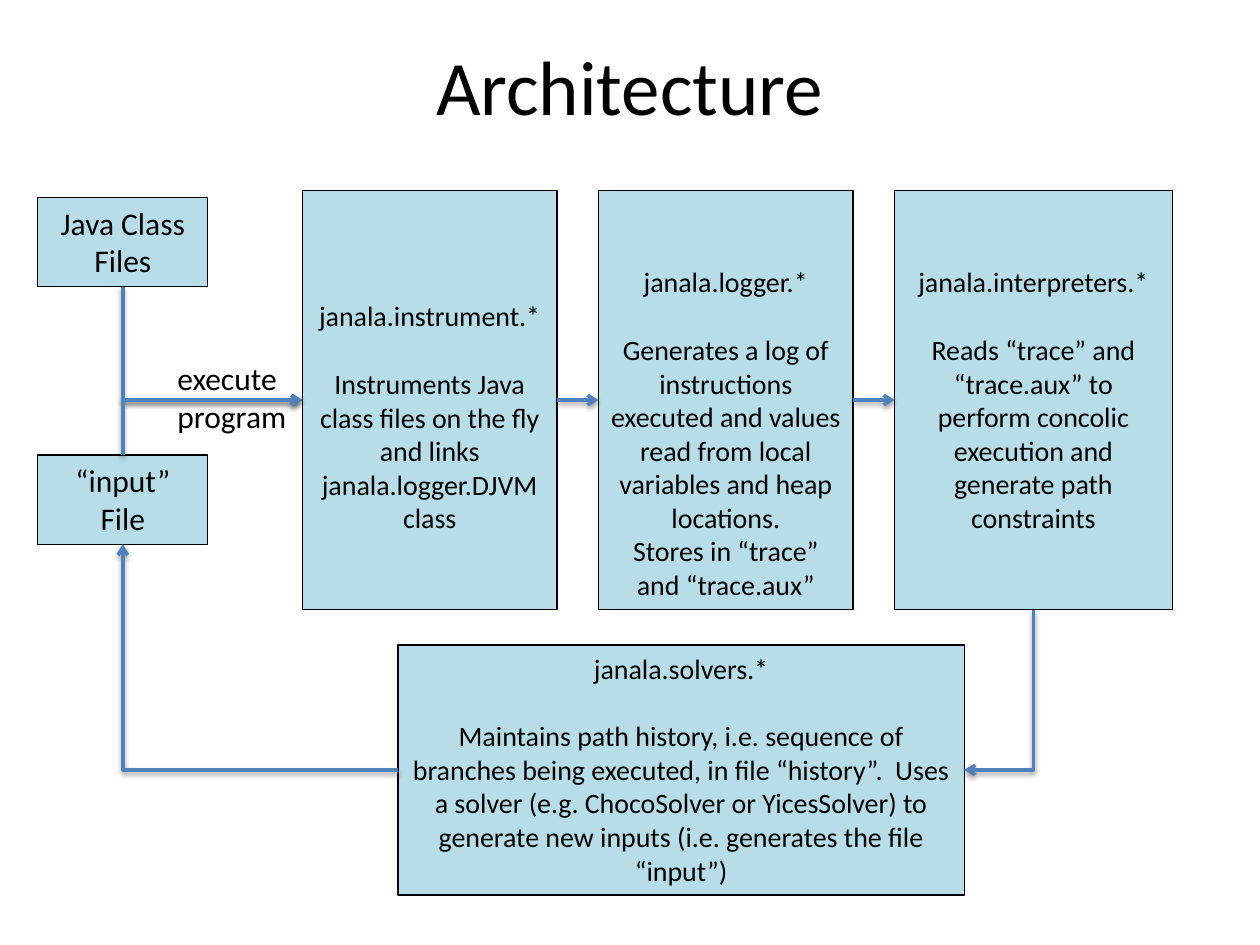
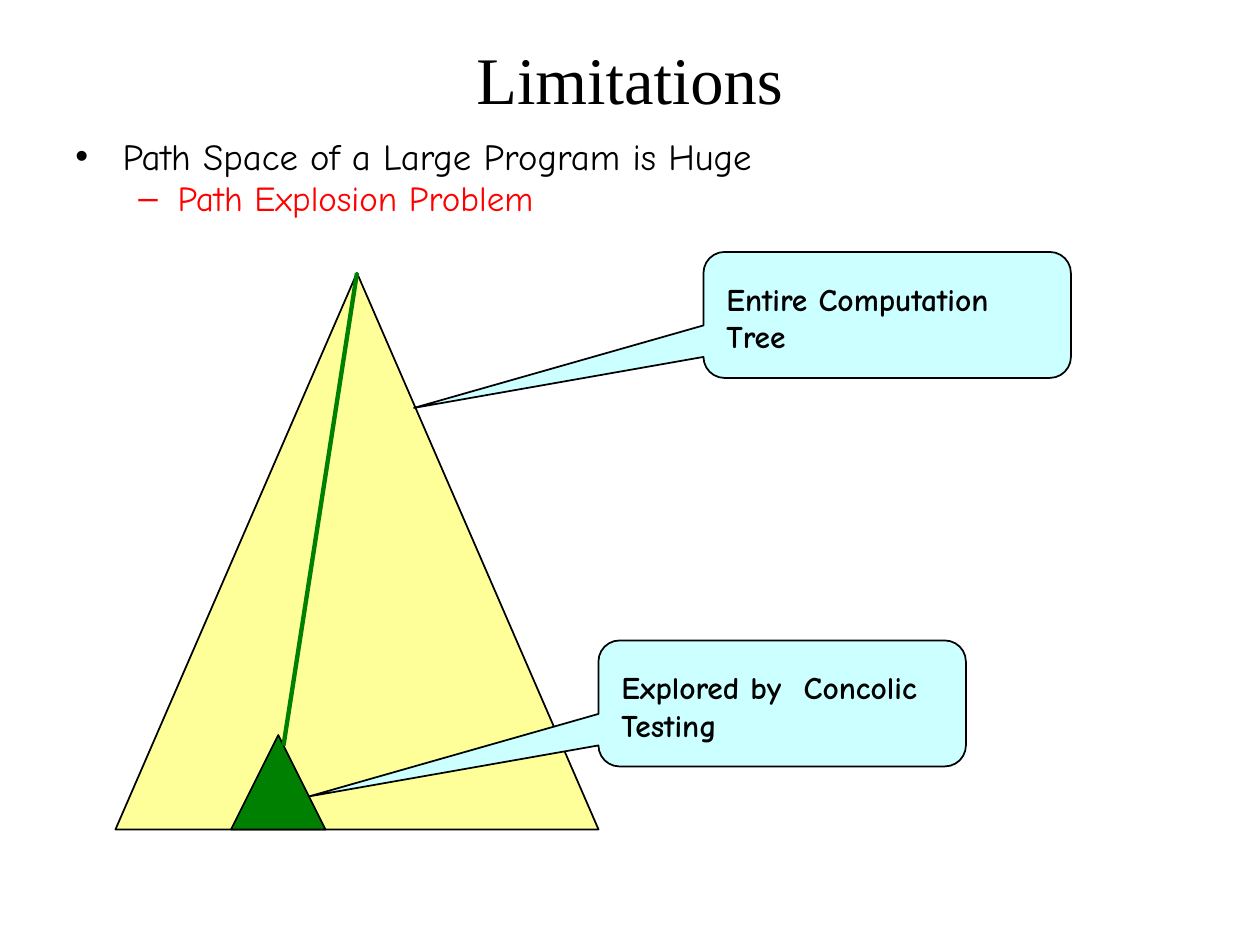
from dataclasses import dataclass

from lxml import etree
from pptx import Presentation
from pptx.dml.color import RGBColor
from pptx.enum.shapes import MSO_CONNECTOR, MSO_SHAPE
from pptx.enum.text import MSO_ANCHOR, PP_ALIGN
from pptx.oxml.ns import qn
from pptx.shapes.autoshape import Shape
from pptx.shapes.connector import Connector
from pptx.slide import Slide
from pptx.util import Pt

RECTANGLE = MSO_SHAPE.RECTANGLE
TRIANGLE = MSO_SHAPE.ISOSCELES_TRIANGLE
CALLOUT = MSO_SHAPE.ROUNDED_RECTANGULAR_CALLOUT
STRAIGHT, ELBOW = MSO_CONNECTOR.STRAIGHT, MSO_CONNECTOR.ELBOW
LEFT, CENTER = PP_ALIGN.LEFT, PP_ALIGN.CENTER
TOP, MIDDLE = MSO_ANCHOR.TOP, MSO_ANCHOR.MIDDLE
SITE_TOP, SITE_LEFT, SITE_BOTTOM, SITE_RIGHT = range(4)

SANS, HAND, SERIF = "Calibri", "Comic Neue", "Times New Roman"
BLACK, RED, GREEN = "000000", "FF0000", "008000"
BOX_BLUE, ARROW_BLUE = "B7DEE8", "4F81BD"
TREE_YELLOW, CALLOUT_CYAN = "FFFF99", "CCFFFF"
MODULE_LINE = 19.5
INSET = 3.6


@dataclass
class Frame:
    left: float
    top: float
    width: float
    height: float


@dataclass
class Style:
    font: str
    size: float
    align: PP_ALIGN = LEFT
    anchor: MSO_ANCHOR = TOP
    bold: bool = False
    wrap: bool = True


@dataclass
class Module:
    frame: Frame
    name: str
    details: list[str]
    lines_above: int = 0


@dataclass
class Bullet:
    text: str
    mark: str
    size: float
    color: str
    margin: float
    hanging: float


@dataclass
class Callout:
    left: float
    top: float
    text: str


@dataclass
class Flow:
    source: Shape
    source_site: int
    target: Shape
    target_site: int


FILE_STYLE = Style(SANS, 18, CENTER)
MODULE_STYLE = Style(SANS, 16, CENTER)
LABEL_STYLE = Style(SANS, 18, wrap=False)
CALLOUT_STYLE = Style(HAND, 18, bold=True)


def color_of(value: str) -> RGBColor:
    return RGBColor.from_string(value)


def place(frame: Frame) -> tuple[Pt, Pt, Pt, Pt]:
    return Pt(frame.left), Pt(frame.top), Pt(frame.width), Pt(frame.height)


def write(box: Shape, lines: list[str], style: Style) -> None:
    text_frame = box.text_frame
    text_frame.text = "\n".join(lines)
    text_frame.word_wrap = style.wrap
    text_frame.vertical_anchor = style.anchor
    for para in text_frame.paragraphs:
        para.alignment = style.align
        for span in para.runs:
            span.font.name = style.font
            span.font.size = Pt(style.size)
            span.font.bold = style.bold
            span.font.color.rgb = color_of(BLACK)


def add_text(page: Slide, frame: Frame, lines: list[str], style: Style) -> Shape:
    box = page.shapes.add_textbox(*place(frame))
    write(box, lines, style)
    return box


def add_title(page: Slide, text: str, top: float, font: str, size: float) -> None:
    add_text(page, Frame(36, top, 648, 90), [text], Style(font, size, CENTER, MIDDLE))


def add_figure(page: Slide, kind: MSO_SHAPE, frame: Frame, fill: str, line: float = 1) -> Shape:
    shape = page.shapes.add_shape(kind, *place(frame))
    shape.shadow.inherit = False
    shape.fill.solid()
    shape.fill.fore_color.rgb = color_of(fill)
    shape.line.color.rgb = color_of(BLACK)
    shape.line.width = Pt(line)
    return shape


def add_file(page: Slide, top: float, lines: list[str]) -> Shape:
    box = add_figure(page, RECTANGLE, Frame(21.6, top, 97.2, 51), BOX_BLUE, 0.75)
    write(box, lines, FILE_STYLE)
    return box


def add_module(page: Slide, module: Module) -> Shape:
    box = add_figure(page, RECTANGLE, module.frame, BOX_BLUE, 0.75)
    write(box, [module.name, *module.details], MODULE_STYLE)
    box.text_frame.margin_top = Pt(INSET + module.lines_above * MODULE_LINE)
    box.text_frame.paragraphs[1].space_before = Pt(MODULE_LINE)
    return box


def style_line(line: Connector, color: str, width: float) -> etree._Element:
    line.line.color.rgb = color_of(color)
    line.line.width = Pt(width)
    return etree.SubElement(line._element.spPr, qn("a:effectLst"))


def bend(arrow: Connector, vertical_first: bool) -> None:
    properties = arrow._element.spPr
    properties.find(qn("a:prstGeom")).set("prst", "bentConnector2")
    if not vertical_first:
        return
    start_x, start_y, end_x, end_y = arrow.begin_x, arrow.begin_y, arrow.end_x, arrow.end_y
    width, height = abs(end_y - start_y), abs(end_x - start_x)
    arrow.left = (start_x + end_x - width) // 2
    arrow.top = (start_y + end_y - height) // 2
    arrow.width, arrow.height = width, height
    down, right = end_y > start_y, end_x > start_x
    transform = properties.find(qn("a:xfrm"))
    transform.set("rot", str((90 if down else 270) * 60000))
    transform.set("flipH", "0")
    transform.set("flipV", "1" if down == right else "0")


def add_flow(page: Slide, flow: Flow) -> None:
    vertical_first = flow.source_site in (SITE_TOP, SITE_BOTTOM)
    straight = (flow.source_site, flow.target_site) == (SITE_RIGHT, SITE_LEFT)
    arrow = page.shapes.add_connector(STRAIGHT if straight else ELBOW, 0, 0, 0, 0)
    arrow.begin_connect(flow.source, flow.source_site)
    arrow.end_connect(flow.target, flow.target_site)
    if not straight:
        bend(arrow, vertical_first)
    effects = style_line(arrow, ARROW_BLUE, 2)
    shadow = etree.SubElement(effects, qn("a:outerShdw"), blurRad="40000", dist="20000",
                              dir="5400000", rotWithShape="0")
    shade = etree.SubElement(shadow, qn("a:srgbClr"), val=BLACK)
    etree.SubElement(shade, qn("a:alpha"), val="38000")
    etree.SubElement(arrow.line._get_or_add_ln(), qn("a:tailEnd"), type="arrow")


def add_bullets(page: Slide, frame: Frame, bullets: list[Bullet]) -> None:
    box = add_text(page, frame, [bullet.text for bullet in bullets], Style(HAND, 20))
    for level, (para, bullet) in enumerate(zip(box.text_frame.paragraphs, bullets)):
        para.level = level
        para.line_spacing = 0.8
        para.space_before = Pt(bullet.size * 0.2)
        para.runs[0].font.size = Pt(bullet.size)
        para.runs[0].font.color.rgb = color_of(bullet.color)
        properties = para._p.get_or_add_pPr()
        properties.set("marL", str(Pt(bullet.margin)))
        properties.set("indent", str(-Pt(bullet.hanging)))
        etree.SubElement(properties, qn("a:buFont"), typeface="Arial")
        etree.SubElement(properties, qn("a:buChar"), char=bullet.mark)


def add_callout(page: Slide, callout: Callout) -> None:
    bubble = add_figure(page, CALLOUT, Frame(callout.left, callout.top, 210, 72), CALLOUT_CYAN)
    for index, value in enumerate((-1.288, 0.738, 0.167)):
        bubble.adjustments[index] = value
    frame = Frame(callout.left + 6, callout.top + 12.25, 198, 50.4)
    add_text(page, frame, [callout.text], CALLOUT_STYLE)


def module_frame(column: int, width: float) -> Frame:
    return Frame(172.8 + 169.2 * column, 108.75, width, 239.75)


def build_architecture(page: Slide) -> None:
    add_title(page, "Architecture", 3.6, SANS, 44)
    input_file = add_file(page, 260, ["“input” File"])
    class_files = add_file(page, 112.75, ["Java Class", "Files"])
    instrument, logger, interpreters, solvers = [add_module(page, module) for module in (
        Module(module_frame(0, 145.5), "janala.instrument.*",
               ["Instruments Java class files on the fly and links janala.logger.DJVM class"], 3),
        Module(module_frame(1, 145.5), "janala.logger.*",
               ["Generates a log of instructions executed and values read from local "
                "variables and heap locations.",
                "Stores in “trace” and “trace.aux”"], 2),
        Module(module_frame(2, 158.75), "janala.interpreters.*",
               ["Reads “trace” and “trace.aux” to perform concolic execution and "
                "generate path constraints"], 2),
        Module(Frame(227.5, 368.5, 323.5, 143), "janala.solvers.*",
               ["Maintains path history, i.e. sequence of branches being executed, in file "
                "“history”.  Uses a solver (e.g. ChocoSolver or YicesSolver) to generate "
                "new inputs (i.e. generates the file “input”)"]),
    )]
    for flow in (
        Flow(instrument, SITE_RIGHT, logger, SITE_LEFT),
        Flow(logger, SITE_RIGHT, interpreters, SITE_LEFT),
        Flow(interpreters, SITE_BOTTOM, solvers, SITE_RIGHT),
        Flow(solvers, SITE_LEFT, input_file, SITE_BOTTOM),
        Flow(class_files, SITE_BOTTOM, instrument, SITE_LEFT),
        Flow(input_file, SITE_TOP, instrument, SITE_LEFT),
    ):
        add_flow(page, flow)
    add_text(page, Frame(94.25, 201.6, 78.5, 51), ["execute", "program"], LABEL_STYLE)


def build_limitations(page: Slide) -> None:
    add_title(page, "Limitations", -0.75, SERIF, 38)
    add_bullets(page, Frame(36, 77.75, 648, 54), [
        Bullet("Path Space of a Large Program is Huge", "•", 21, BLACK, 27, 27),
        Bullet("Path Explosion Problem", "–", 20, RED, 58.5, 22.5),
    ])
    add_figure(page, TRIANGLE, Frame(66, 156, 276, 318), TREE_YELLOW)
    add_figure(page, TRIANGLE, Frame(132, 420, 54, 54), GREEN)
    add_callout(page, Callout(342, 366, "Explored by  Concolic Testing"))
    add_callout(page, Callout(402, 144, "Entire Computation Tree"))
    trail = page.shapes.add_connector(STRAIGHT, Pt(204), Pt(156), Pt(162), Pt(426))
    style_line(trail, GREEN, 2.5)


def main() -> None:
    deck = Presentation()
    deck.slide_width, deck.slide_height = Pt(720), Pt(540)
    blank = deck.slide_layouts[6]
    for build in (build_architecture, build_limitations):
        build(deck.slides.add_slide(blank))
    deck.save("out.pptx")


main()
